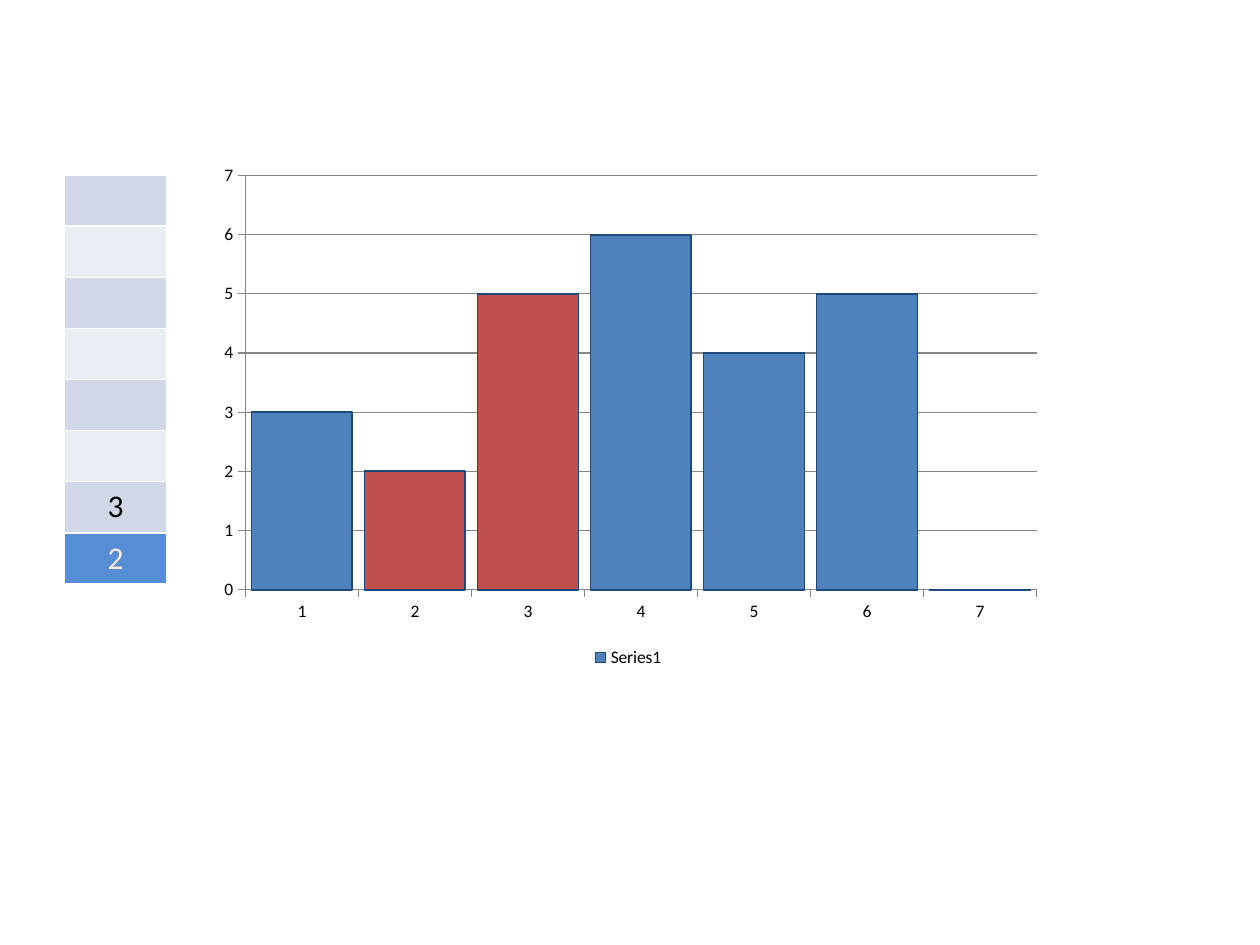
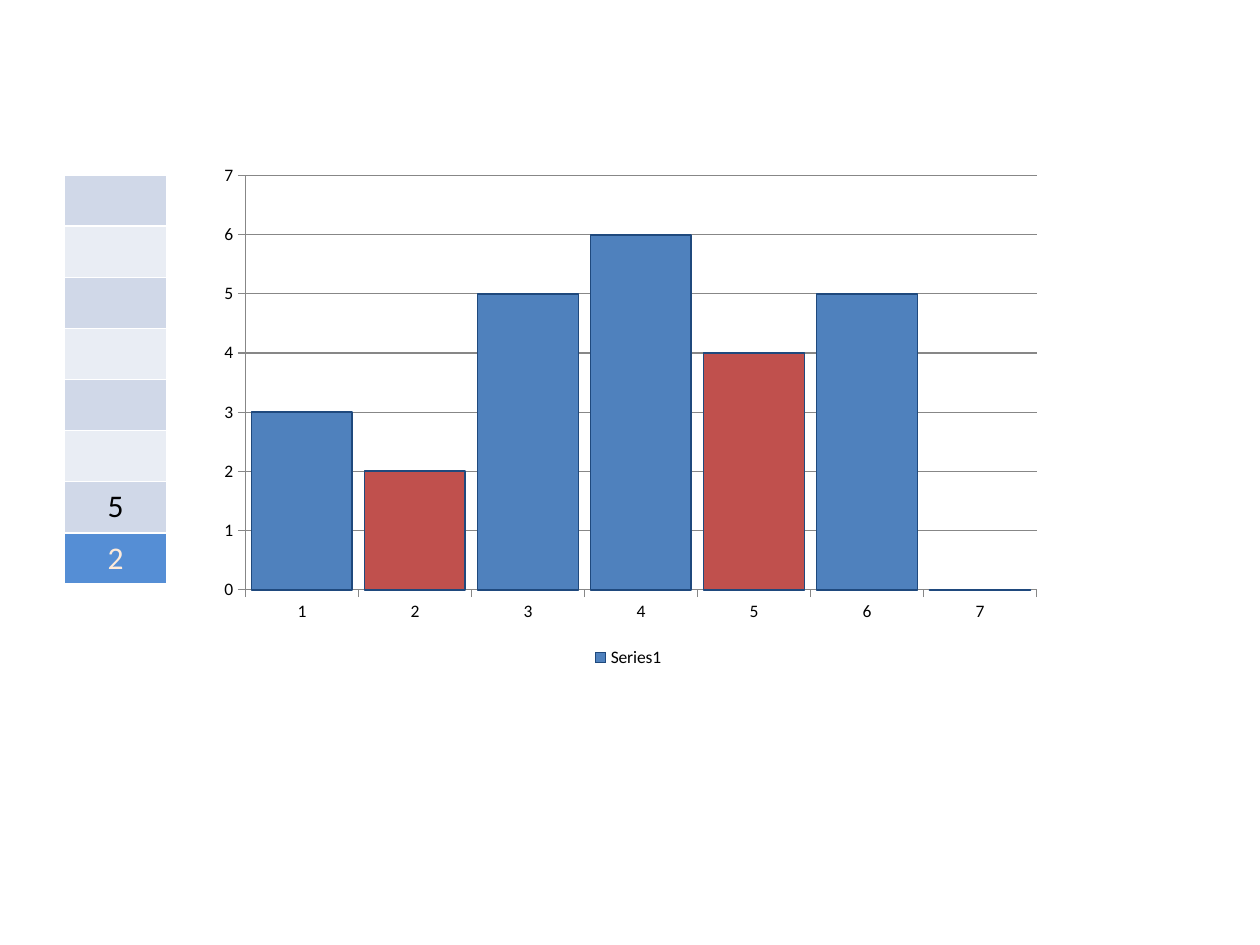
from lxml.etree import SubElement
from pptx import Presentation
from pptx.chart.data import CategoryChartData
from pptx.dml.color import RGBColor
from pptx.enum.chart import XL_CHART_TYPE, XL_LEGEND_POSITION, XL_TICK_MARK
from pptx.enum.text import PP_ALIGN
from pptx.oxml import parse_xml
from pptx.oxml.ns import nsdecls, qn
from pptx.util import Cm, Pt

BAR_VALUES = [3, 2, 5, 6, 4, 5, 0]
SERIES_NAME = "Series1"
STACK_ROWS = 8
STEPS = [["2", "3"], ["2", "5"]]

FONT = "Calibri"
BLACK, WHITE, GREY = "000000", "FFFFFF", "878787"
BAR, BAR_LINE, MARKED = "4F81BD", "1F497D", "C0504D"
BANDS = ["D0D8E8", "E9EDF4"]
BASE_FILL, BASE_TEXT = "558ED5", "FDEADA"

CHART_BOX = Cm(4.09), Cm(3.12), Cm(17.15), Cm(10.44)
STACK_BOX = Cm(1.3), Cm(3.53), Cm(2.06), Cm(8.2)
PLOT_AREA = {"x": 0.05, "y": 0.04, "w": 0.93, "h": 0.8}


def color(value):
    return RGBColor.from_string(value)


def set_font(font, size, value):
    font.name = FONT
    font.size = Pt(size)
    font.color.rgb = color(value)


def set_line(line, value, width):
    line.color.rgb = color(value)
    line.width = Pt(width)


def set_plot_area(chart):
    area = chart._chartSpace.chart.plotArea
    for old in area.findall(qn("c:layout")):
        area.remove(old)
    layout = parse_xml(f"<c:layout {nsdecls('c')}/>")
    manual = SubElement(layout, qn("c:manualLayout"))
    SubElement(manual, qn("c:layoutTarget")).set("val", "inner")
    for key in "xy":
        SubElement(manual, qn(f"c:{key}Mode")).set("val", "edge")
    for key, share in PLOT_AREA.items():
        SubElement(manual, qn(f"c:{key}")).set("val", str(share))
    area.insert(0, layout)


def add_histogram(s, marked):
    data = CategoryChartData()
    data.categories = [str(i + 1) for i in range(len(BAR_VALUES))]
    data.add_series(SERIES_NAME, BAR_VALUES)
    chart = s.shapes.add_chart(XL_CHART_TYPE.COLUMN_CLUSTERED, *CHART_BOX, data).chart
    set_font(chart.font, 10, BLACK)
    chart.has_title = False
    chart.has_legend = True
    chart.legend.position = XL_LEGEND_POSITION.BOTTOM
    chart.legend.include_in_layout = False
    set_plot_area(chart)

    for axis in (chart.category_axis, chart.value_axis):
        axis.major_tick_mark = XL_TICK_MARK.OUTSIDE
        set_line(axis.format.line, GREY, 0.75)
    axis = chart.value_axis
    axis.minimum_scale, axis.maximum_scale, axis.major_unit = 0, 7, 1
    set_line(axis.major_gridlines.format.line, GREY, 0.75)

    plot = chart.plots[0]
    plot.gap_width = 12
    plot.vary_by_categories = False
    series = plot.series[0]
    series.invert_if_negative = False
    bars = [series.points[int(label) - 1] for label in marked]
    for part, fill in [(series, BAR)] + [(bar, MARKED) for bar in bars]:
        part.format.fill.solid()
        part.format.fill.fore_color.rgb = color(fill)
        set_line(part.format.line, BAR_LINE, 1)


def set_cell(cell, fill, text, text_color):
    tc_pr = cell._tc.get_or_add_tcPr()
    for side in "LRTB":
        ln = SubElement(tc_pr, qn(f"a:ln{side}"), w=str(Pt(1)))
        SubElement(SubElement(ln, qn("a:solidFill")), qn("a:srgbClr"), val=WHITE)
    cell.fill.solid()
    cell.fill.fore_color.rgb = color(fill)
    p = cell.text_frame.paragraphs[0]
    p.alignment = PP_ALIGN.CENTER
    if text:
        r = p.add_run()
        r.text = text
        set_font(r.font, 18, text_color)


def add_stack(s, items):
    table = s.shapes.add_table(STACK_ROWS, 1, *STACK_BOX).table
    table.first_row = False
    table.horz_banding = False
    texts = [""] * (STACK_ROWS - len(items)) + items[::-1]
    for i, text in enumerate(texts):
        is_base = i == STACK_ROWS - 1
        fill = BASE_FILL if is_base else BANDS[i % 2]
        set_cell(table.cell(i, 0), fill, text, BASE_TEXT if is_base else BLACK)


def main():
    prs = Presentation()
    prs.slide_width, prs.slide_height = Cm(25.4), Cm(19.05)
    for items in STEPS:
        s = prs.slides.add_slide(prs.slide_layouts[6])
        add_histogram(s, items)
        add_stack(s, items)
    prs.save("out.pptx")


if __name__ == "__main__":
    main()
